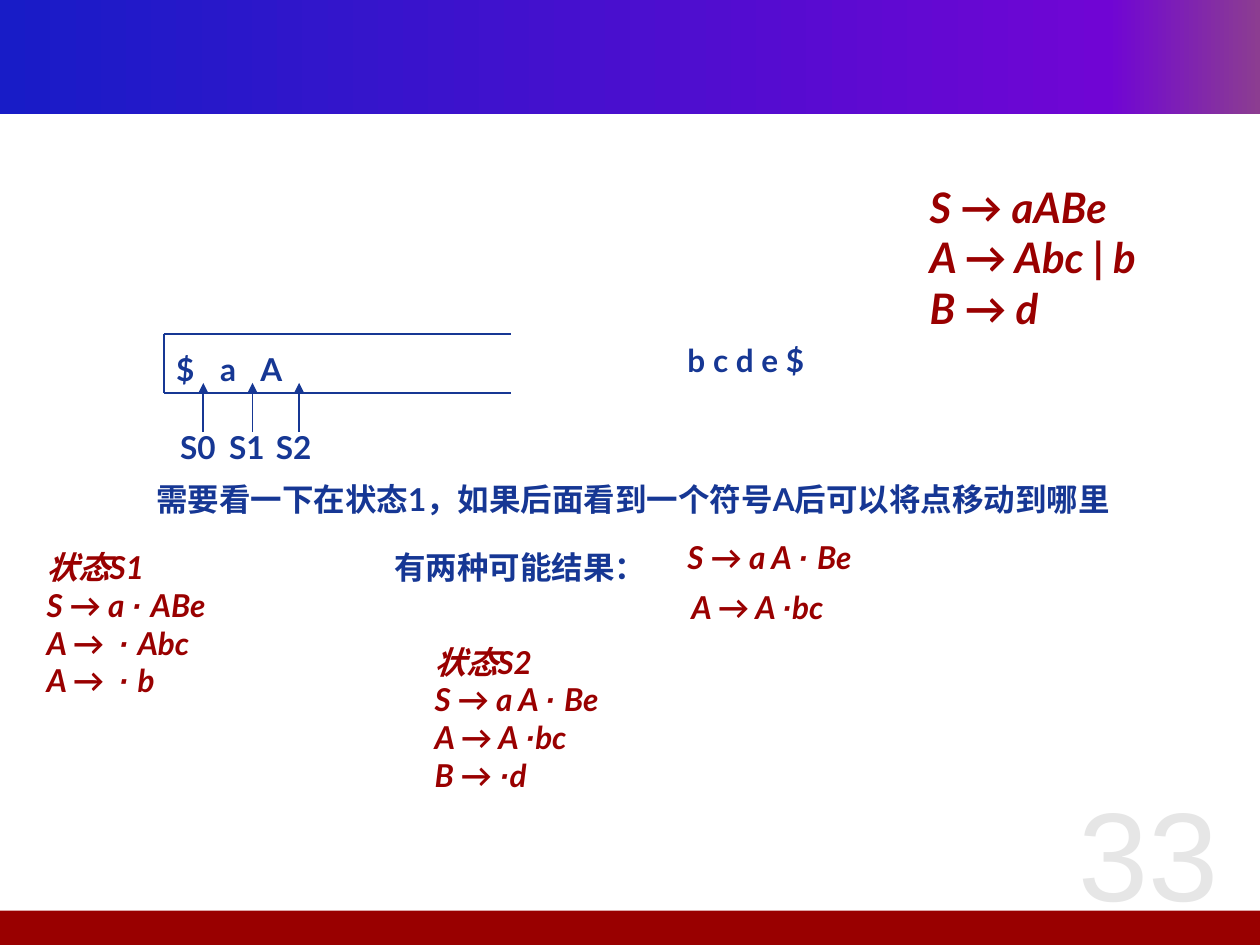
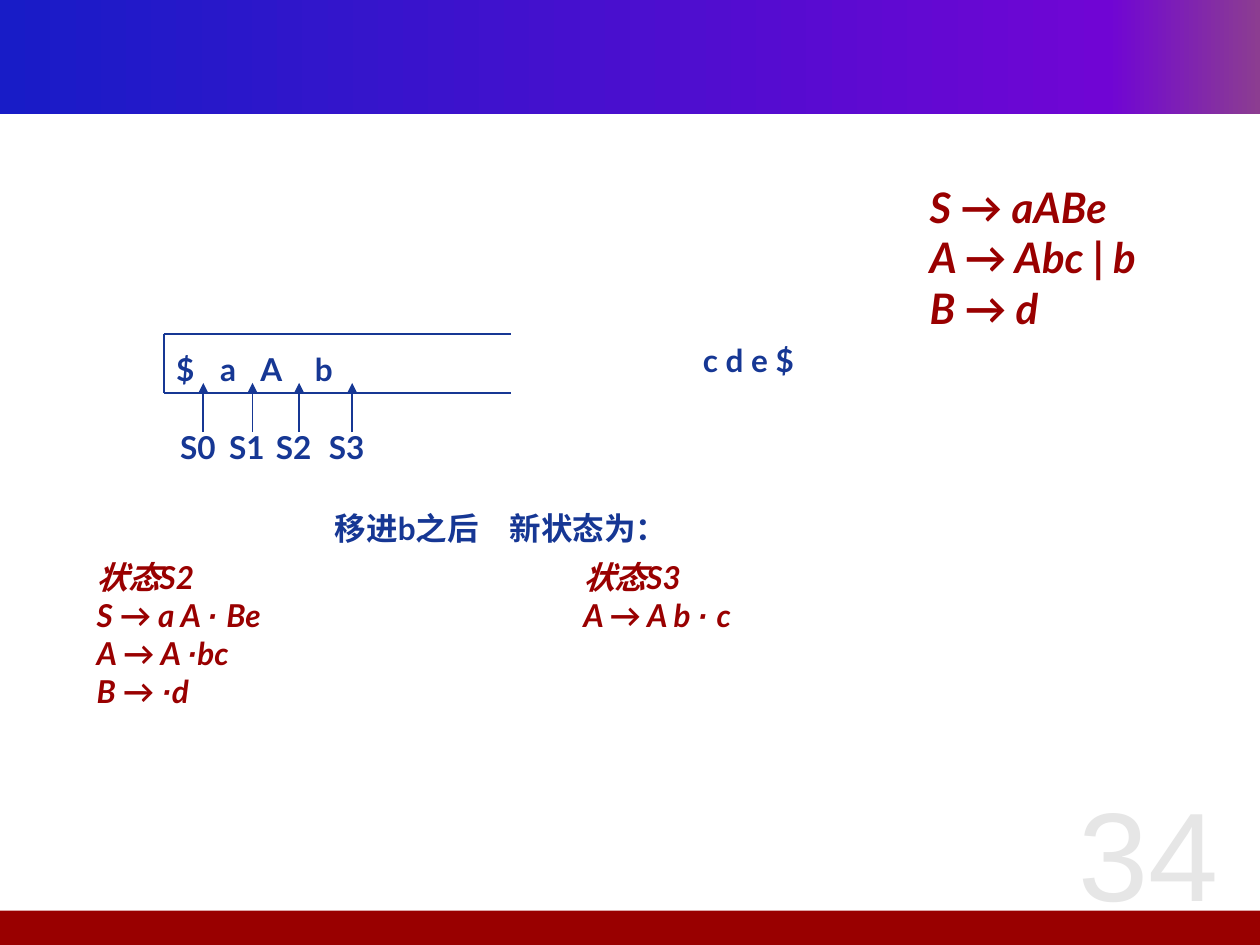
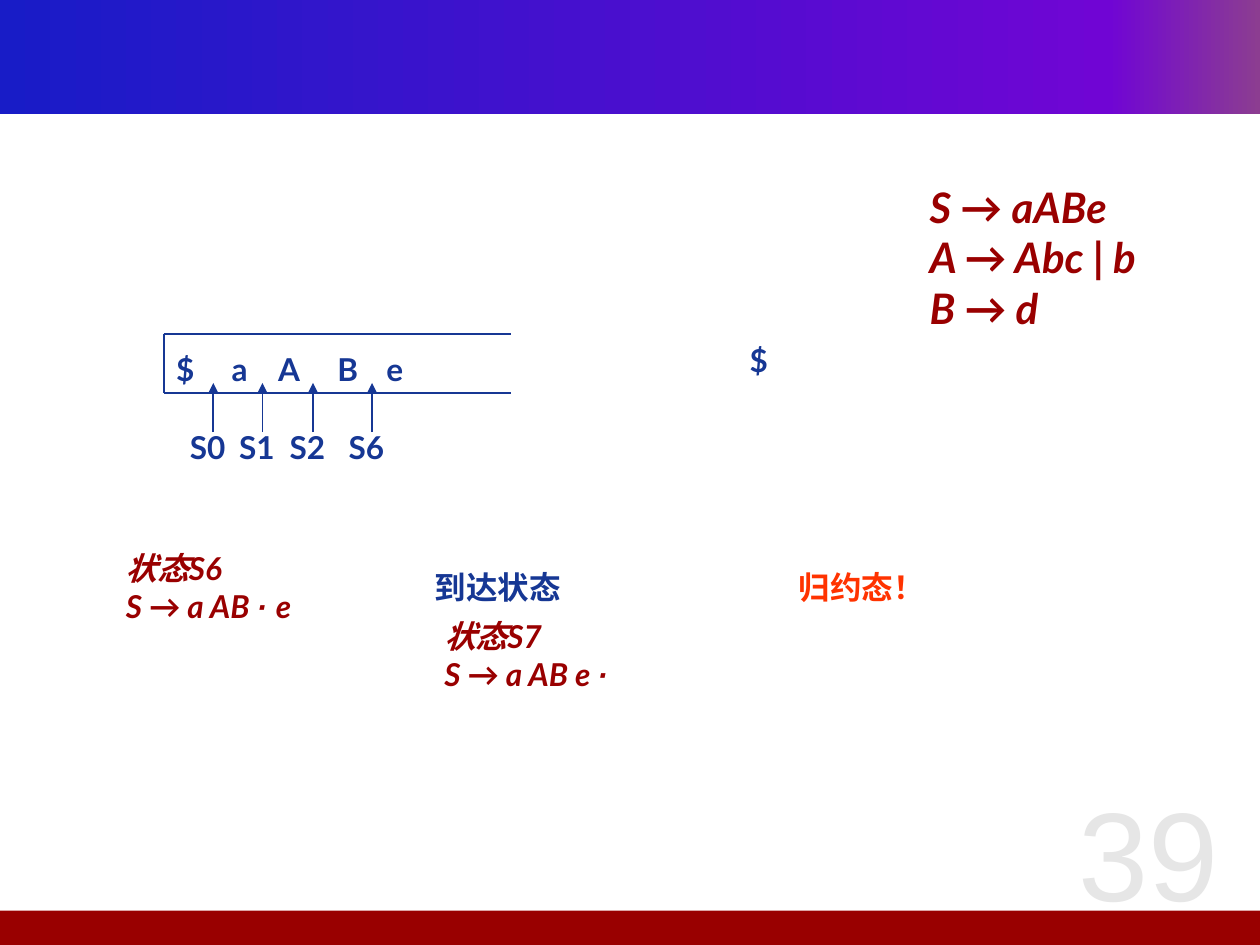
from copy import deepcopy

from lxml import etree
from pptx import Presentation
from pptx.dml.color import RGBColor
from pptx.enum import shapes, text
from pptx.oxml.ns import qn
from pptx.util import Cm, Pt

BLUE, RED, ORANGE, GREY = "163794", "990000", "FF3300", "E6E6E6"
HEADER_STOPS = [(0, "181CC7"), (0.88, "7005D4"), (1, "8C3D91")]

GRAMMAR = ["S → aABe", "A → Abc ~|~ b", "B → d"]
STATE_1 = ["状态S1", "S → a ~· ~ABe", "A →  ~· ~Abc", "A →  ~· ~b"]
STATE_2 = ["状态S2", "S → a A ~· ~Be", "A → A ~·~bc", "B → ~·~d"]
STATE_3 = ["状态S3", "A → A b ~· ~c"]
STATE_6 = ["状态S6", "S → a AB ~· ~e"]
STATE_7 = ["状态S7", "S → a AB e ~·"]

# Stack symbols and states carry their left edge; notes and items are (text, left, top, width).
STEPS = [
    dict(
        page="33",
        stack=[("$", 3.3), ("a", 4.19), ("A", 5)],
        states=[("S0", 3.38), ("S1", 4.37), ("S2", 5.31)],
        remaining=("b c d e $", 13.61),
        notes=[("需要看一下在状态1，如果后面看到一个符号A后可以将点移动到哪里", 2.9, 9.55, 20.8, BLUE),
               ("有两种可能结果：", 7.7, 10.92, 5.8, BLUE)],
        items=[(["S → a A ~· ~Be"], 13.61, 10.72, 4.32),
               (["A → A ~·~bc"], 13.69, 11.73, 3.51),
               (STATE_1, 0.69, 10.92, 4.39),
               (STATE_2, 8.51, 12.83, 4.39)],
    ),
    dict(
        page="34",
        stack=[("$", 3.3), ("a", 4.19), ("A", 5), ("b", 6.1)],
        states=[("S0", 3.38), ("S1", 4.37), ("S2", 5.31), ("S3", 6.38)],
        remaining=("c d e $", 13.92),
        notes=[("移进b之后", 6.5, 10.13, 3.81, BLUE),
               ("新状态为：", 10.03, 10.13, 3.8, BLUE)],
        items=[(STATE_2, 1.7, 11.13, 4.39),
               (STATE_3, 11.51, 11.13, 4.39)],
    ),
    dict(
        page="39",
        stack=[("$", 3.3), ("a", 4.42), ("A", 5.36), ("B", 6.55), ("e", 7.54)],
        states=[("S0", 3.58), ("S1", 4.57), ("S2", 5.59), ("S6", 6.78)],
        remaining=("$", 14.86),
        notes=[("到达状态", 8.51, 11.33, 3.81, BLUE),
               ("归约态！", 15.85, 11.33, 3.66, ORANGE)],
        items=[(STATE_7, 8.71, 12.32, 4.39),
               (STATE_6, 2.29, 10.95, 4.39)],
    ),
]


def write(slide, lines, left, top, width, size=18, color=BLUE, font="Lato",
          bold=True, italic=False, align=None):
    """Add a text box; "~" separates the dot (in Arial) or the bar (upright) from the rest."""
    height = len(lines) * size * 0.0424 + 0.25
    box = slide.shapes.add_textbox(Cm(left), Cm(top), Cm(width), Cm(height))
    frame = box.text_frame
    frame.word_wrap = True
    frame.auto_size = text.MSO_AUTO_SIZE.SHAPE_TO_FIT_TEXT
    for index, line in enumerate(lines):
        paragraph = frame.paragraphs[0] if index == 0 else frame.add_paragraph()
        paragraph.alignment = align
        for piece in line.split("~"):
            run = paragraph.add_run()
            run.text = piece
            run.font.name = "Arial" if piece.startswith("·") else font
            run.font.size = Pt(size)
            run.font.bold = bold
            run.font.italic = italic and piece != "|"
            run.font.color.rgb = RGBColor.from_string(color)


def draw_line(slide, x1, y1, x2, y2, arrow=False):
    line = slide.shapes.add_connector(
        shapes.MSO_CONNECTOR.STRAIGHT, Cm(x1), Cm(y1), Cm(x2), Cm(y2))
    line.line.color.rgb = RGBColor.from_string(BLUE)
    line.line.width = Pt(1)
    properties = line.element.spPr
    if arrow:
        etree.SubElement(properties.find(qn("a:ln")), qn("a:tailEnd"), type="triangle")
    etree.SubElement(properties, qn("a:effectLst"))


prs = Presentation()
prs.slide_width, prs.slide_height = Cm(25.4), Cm(19.05)
layout = prs.slide_layouts[6]
slides = [prs.slides.add_slide(layout) for step in STEPS]

# Both bands are drawn once and moved to the shared layout.
header, footer = [
    slides[0].shapes.add_shape(shapes.MSO_SHAPE.RECTANGLE, Cm(left), Cm(top), Cm(width), Cm(height))
    for left, top, width, height in [(0, 0, 25.4, 2.31), (-0.1, 18.36, 25.5, 0.69)]
]
header.fill.gradient()
header.fill.gradient_angle = 0
stop_list = next(header.element.iter(qn("a:gsLst")))
stop_list.append(deepcopy(stop_list[0]))
for stop, (position, color) in zip(header.fill.gradient_stops, HEADER_STOPS):
    stop.position = position
    stop.color.rgb = RGBColor.from_string(color)
footer.fill.solid()
footer.fill.fore_color.rgb = RGBColor.from_string(RED)
for band in (header, footer):
    band.line.fill.background()
    band.shadow.inherit = False
    layout.shapes.element.append(band.element)

for slide, step in zip(slides, STEPS):
    write(slide, [step["page"]], 20.9, 15.5, 4.5, size=72, color=GREY, font="Arial",
          bold=False, align=text.PP_ALIGN.CENTER)
    write(slide, GRAMMAR, 18.49, 3.53, 5.59, size=24, color=RED, italic=True)

    # The stack is open on the right.
    for y in (6.73, 7.92):
        draw_line(slide, 3.3, y, 10.31, y)
    draw_line(slide, 3.3, 6.73, 3.3, 7.92)
    for symbol, left in step["stack"]:
        write(slide, [symbol], left, 6.93, 0.91)
    for state, left in step["states"]:
        write(slide, [state], left, 8.51, 1.32)
        draw_line(slide, left + 0.72, 8.71, left + 0.72, 7.72, arrow=True)

    remaining, left = step["remaining"]
    write(slide, [remaining], left, 6.76, 3)
    for note, left, top, width, color in step["notes"]:
        write(slide, [note], left, top, width, color=color)
    for lines, left, top, width in step["items"]:
        write(slide, lines, left, top, width, color=RED, italic=True)

prs.save("out.pptx")
